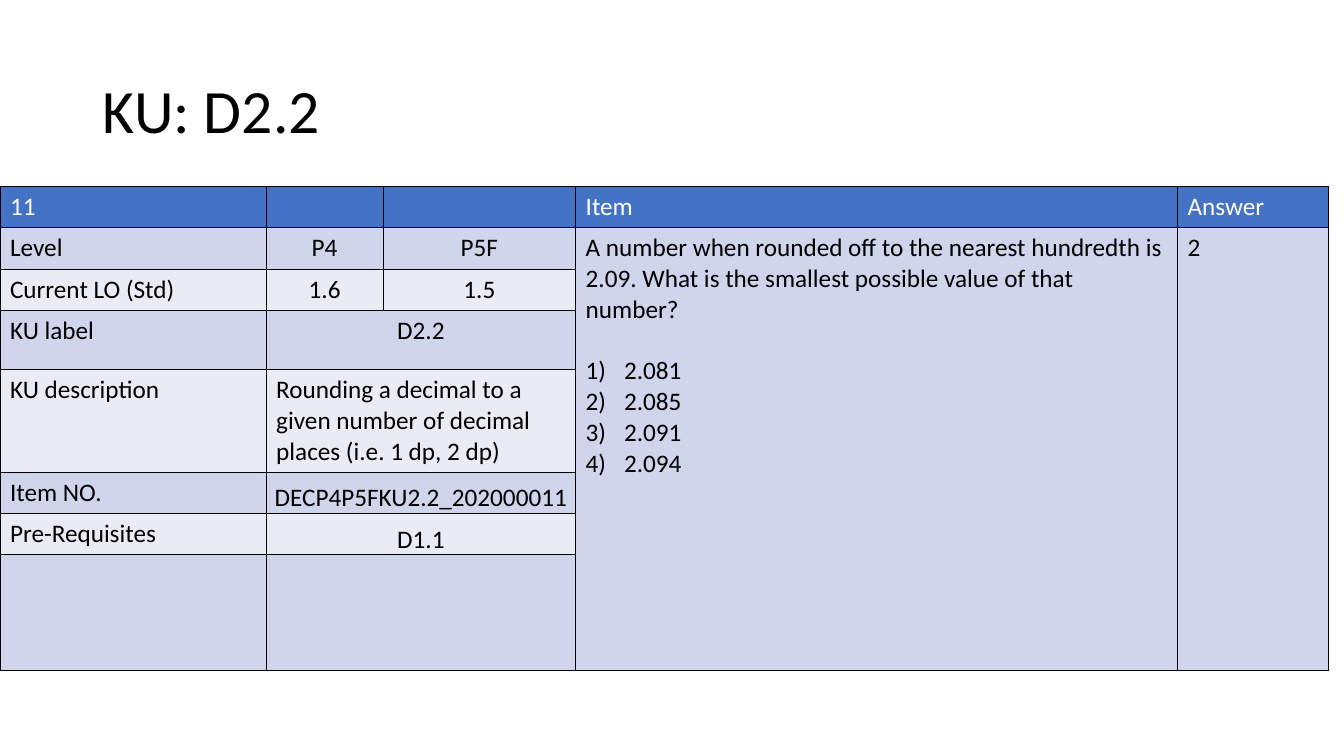
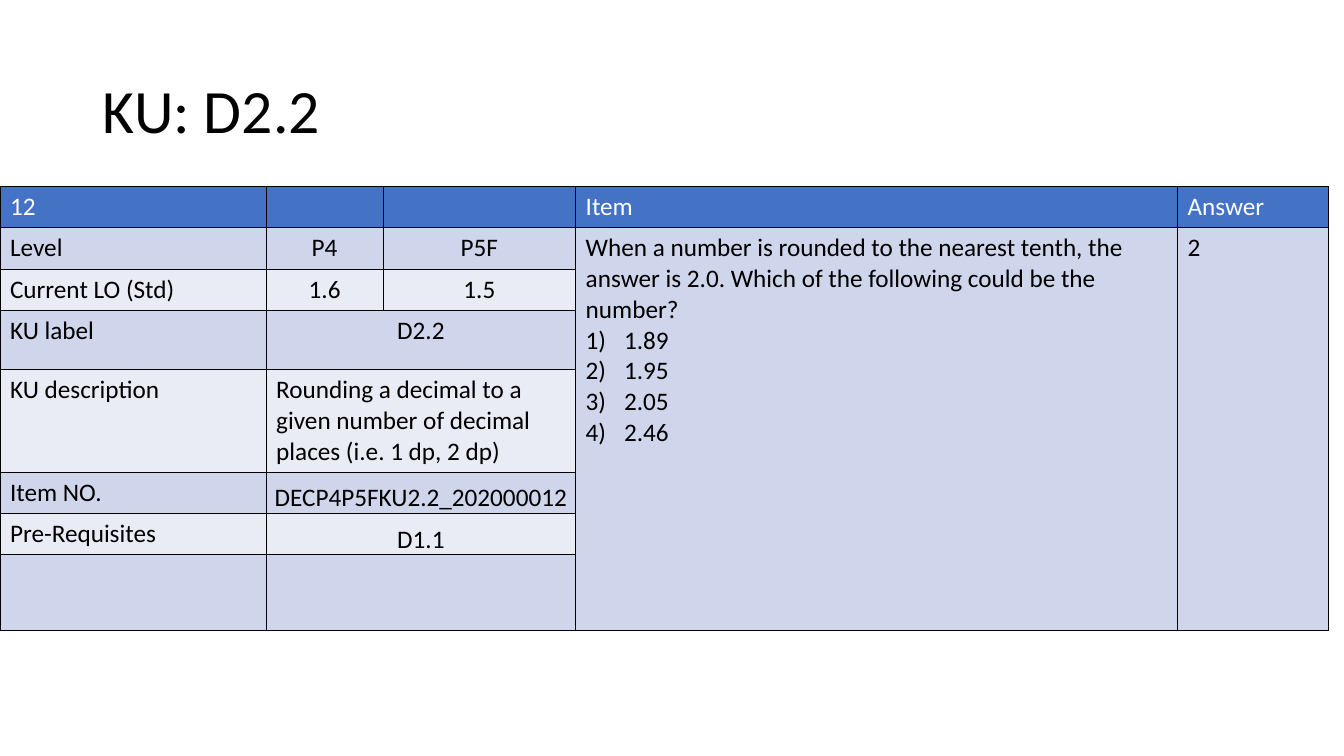
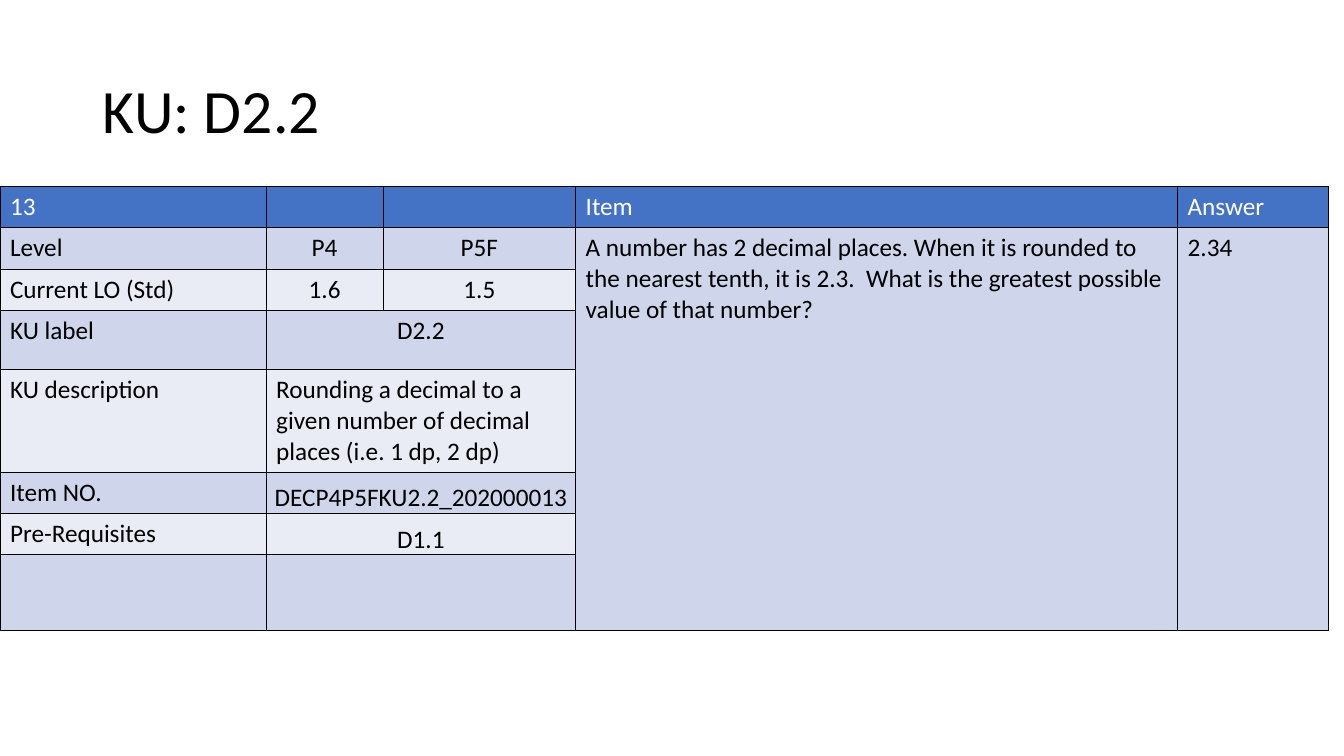
from itertools import accumulate
from lxml import etree
from pptx import Presentation
from pptx.dml.color import RGBColor
from pptx.enum.text import MSO_ANCHOR, PP_ALIGN
from pptx.oxml.ns import qn
from pptx.util import Inches, Pt

LEFT, CENTER = PP_ALIGN.LEFT, PP_ALIGN.CENTER
TOP, MIDDLE, BOTTOM = MSO_ANCHOR.TOP, MSO_ANCHOR.MIDDLE, MSO_ANCHOR.BOTTOM

# Content
KU = "D2.2"
ITEMS = [
    {"number": 11, "answer": "2", "last_row": 1.15, "option_gap": 22,
     "question": "A number when rounded off to the nearest hundredth is 2.09. "
                 "What is the smallest possible value of that number?",
     "options": ["2.081", "2.085", "2.091", "2.094"]},
    {"number": 12, "answer": "2", "last_row": 0.75, "option_gap": 0,
     "question": "When a number is rounded to the nearest tenth, the answer is 2.0. "
                 "Which of the following could be the number?",
     "options": ["1.89", "1.95", "2.05", "2.46"]},
    {"number": 13, "answer": "2.34", "last_row": 0.75, "option_gap": 0,
     "question": "A number has 2 decimal places. When it is rounded to the nearest tenth, "
                 "it is 2.3.\u00a0 What is the greatest possible value of that number?",
     "options": []},
]

# Shared look
COLORS = {"header": "4472C4", "odd": "CFD5EA", "even": "E9EBF5",
          "border": "000000", "text": "000000", "header_text": "FFFFFF"}
FONT = "Calibri"
COLUMNS = [2.64, 1.16, 1.91, 5.97, 1.5]
ROWS = [0.41, 0.41, 0.41, 0.59, 1.01, 0.41, 0.41]
TABLE_TOP = 1.85
ITEM_COL, ANSWER_COL = 3, 4
FIRST_MERGED_ROW = 3
CODE_ROWS = (5, 6)
OPTION_INDENT = Inches(0.38)


def write(frame, text, size=18, color="text", align=LEFT, line_spacing=None,
          numbered=(), gap=0):
    """Write a paragraph, then any numbered options below it."""
    frame.text = text
    for option in numbered:
        frame.add_paragraph().text = option
    for index, paragraph in enumerate(frame.paragraphs):
        paragraph.alignment = align
        if line_spacing:
            paragraph.line_spacing = line_spacing
        if index == 1 and gap:
            paragraph.space_before = Pt(gap)
        if index:
            properties = paragraph._p.get_or_add_pPr()
            properties.set("marL", str(OPTION_INDENT))
            properties.set("indent", str(-OPTION_INDENT))
            etree.SubElement(properties, qn("a:buAutoNum"), type="arabicParenR")
        for run in paragraph.runs:
            run.font.name = FONT
            run.font.size = Pt(size)
            run.font.bold = False
            run.font.color.rgb = RGBColor.from_string(COLORS[color])


def style_cell(cell, fill):
    properties = cell._tc.get_or_add_tcPr()
    for side in ("lnL", "lnR", "lnT", "lnB"):
        line = etree.SubElement(properties, qn("a:" + side), w=str(Pt(1)))
        solid = etree.SubElement(line, qn("a:solidFill"))
        etree.SubElement(solid, qn("a:srgbClr"), val=COLORS["border"])
    cell.fill.solid()
    cell.fill.fore_color.rgb = RGBColor.from_string(COLORS[fill])


def row_texts(item):
    return [
        [str(item["number"]), "", "", "Item", "Answer"],
        ["Level", "P4", "P5F", item["question"], item["answer"]],
        ["Current LO (Std)", "1.6", "1.5"],
        ["KU label", KU],
        ["KU description", "Rounding a decimal to a given number of decimal places "
                           "(i.e. 1 dp, 2 dp)"],
        ["Item NO.", f"DECP4P5FKU{KU[1:]}_2020000{item['number']}"],
        ["Pre-Requisites", "D1.1"],
        [],
    ]


def add_title(slide):
    title = slide.shapes.title
    title.left, title.top = Inches(0.92), Inches(0.4)
    title.width, title.height = Inches(11.5), Inches(1.45)
    title.text_frame.vertical_anchor = MIDDLE
    write(title.text_frame, f"KU: {KU}", size=44, line_spacing=0.9)


def add_item_table(slide, item):
    heights = ROWS + [item["last_row"]]
    *_, width = accumulate(COLUMNS)
    table = slide.shapes.add_table(len(heights), len(COLUMNS), 0, Inches(TABLE_TOP),
                                   Inches(width), Inches(sum(heights))).table
    table.first_row = table.horz_banding = False
    for column, size in zip(table.columns, COLUMNS):
        column.width = Inches(size)
    for row, size in zip(table.rows, heights):
        row.height = Inches(size)

    # Fills and borders
    last = len(heights) - 1
    for r in range(len(heights)):
        for c in range(len(COLUMNS)):
            band = "odd" if r % 2 or c >= ITEM_COL else "even"
            style_cell(table.cell(r, c), band if r else "header")

    # Merged areas
    for c in (ITEM_COL, ANSWER_COL):
        table.cell(1, c).merge(table.cell(last, c))
    for r in range(FIRST_MERGED_ROW, last + 1):
        table.cell(r, 1).merge(table.cell(r, 2))

    # Texts
    for r, texts in enumerate(row_texts(item)):
        for c, text in enumerate(texts):
            if not text:
                continue
            cell = table.cell(r, c)
            centered = r and c in (1, 2) and texts[0] != "KU description"
            is_question = r == 1 and c == ITEM_COL
            write(cell.text_frame, text, color="text" if r else "header_text",
                  align=CENTER if centered else LEFT,
                  numbered=item["options"] if is_question else (),
                  gap=item["option_gap"])
            if r in CODE_ROWS and c == 1:
                cell.vertical_anchor = BOTTOM
                cell.margin_left = cell.margin_right = cell.margin_top = Inches(0.01)
                cell.margin_bottom = 0
            else:
                cell.vertical_anchor = TOP


# Slides
prs = Presentation()
prs.slide_width, prs.slide_height = Inches(13.33), Inches(7.5)
title_only = prs.slide_layouts[5]
for item in ITEMS:
    slide = prs.slides.add_slide(title_only)
    add_title(slide)
    add_item_table(slide, item)
prs.save("out.pptx")
